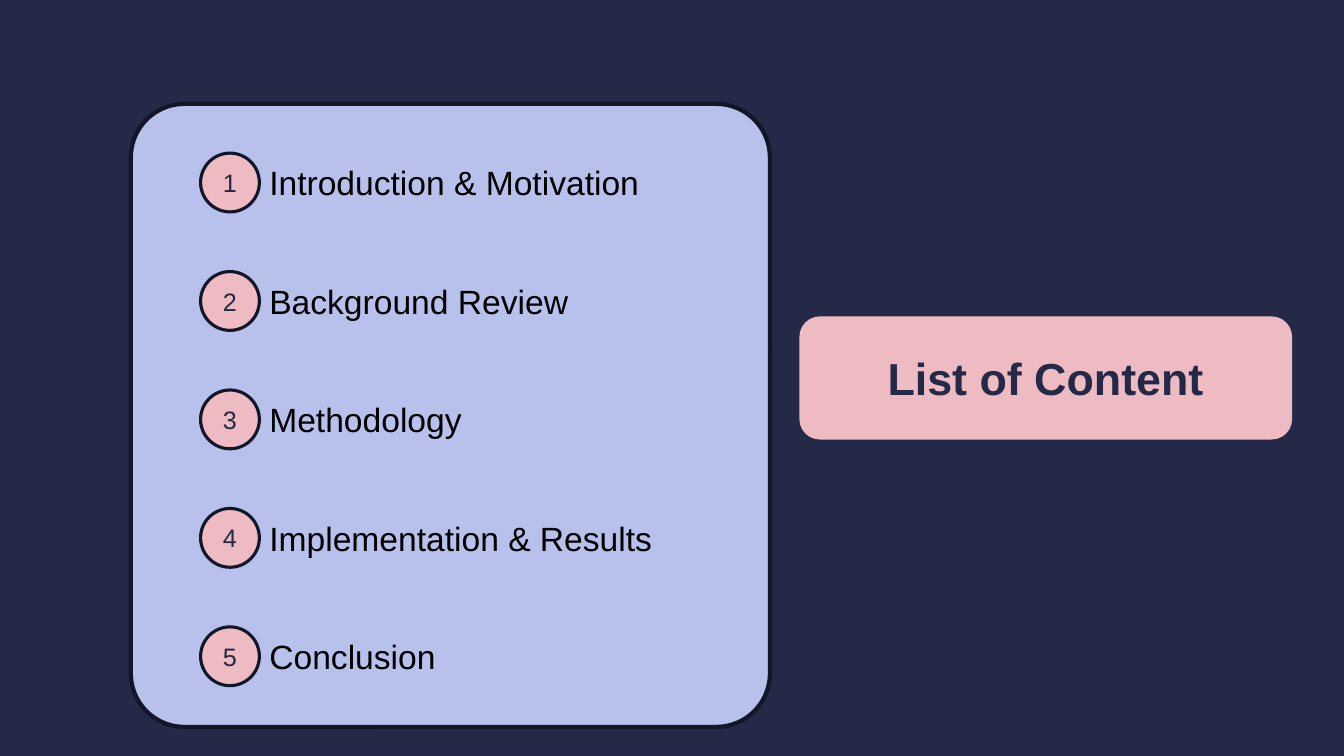
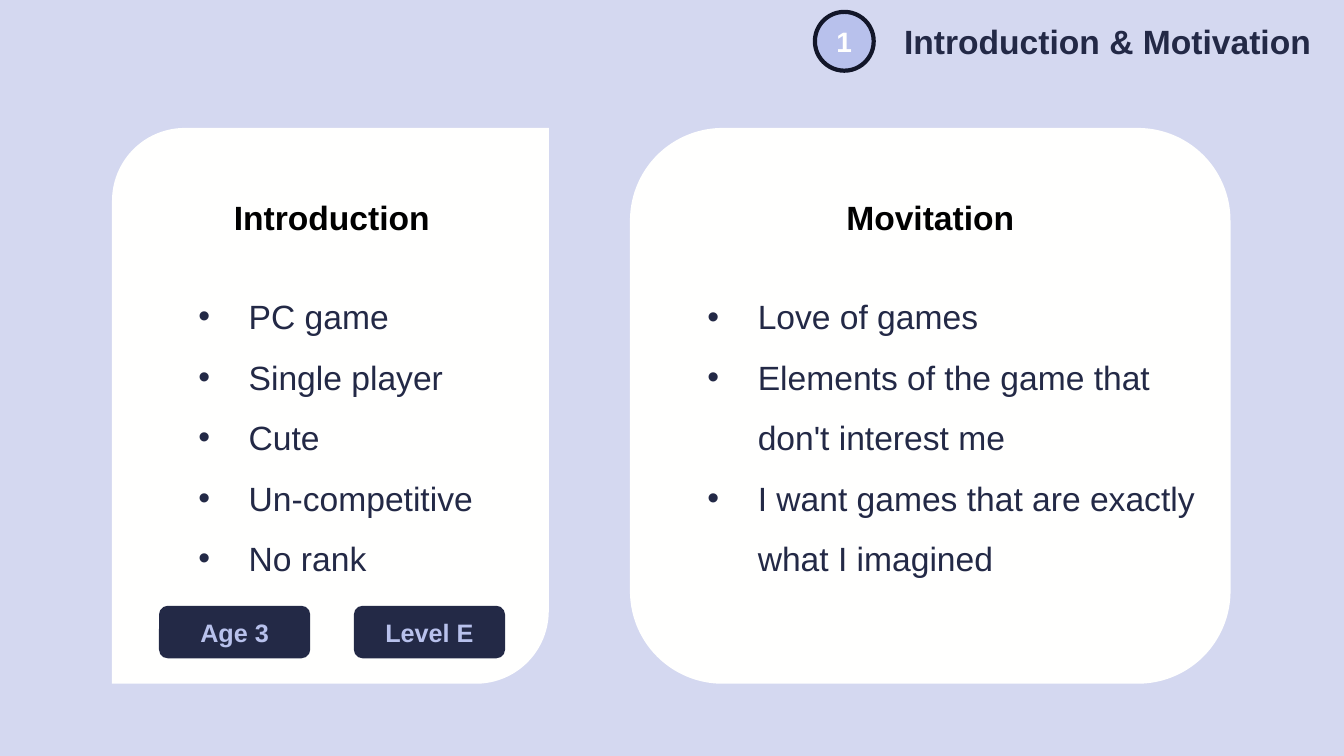
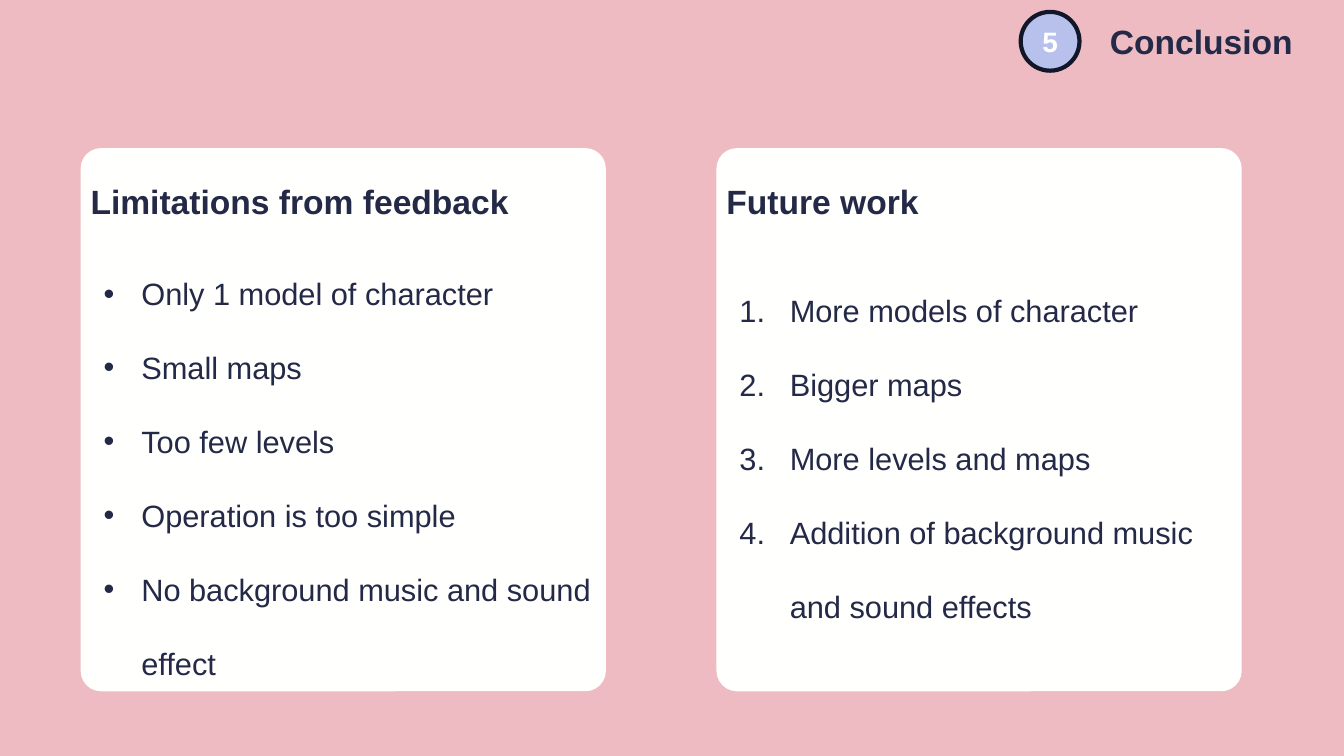
from dataclasses import dataclass
from typing import Any, Optional

from lxml import etree
from pptx import Presentation
from pptx import util as u
from pptx.dml import color
from pptx.enum import shapes, text
from pptx.oxml import ns

# Shared look
COLORS = {
    "navy": "232946",
    "ink": "121629",
    "lilac": "B8C1EC",
    "mist": "D4D8F0",
    "pink": "EEBBC3",
    "white": "FFFFFE",
    "black": "000000",
}
FONT = "Arial"
SLIDE_W, SLIDE_H = 960, 540
BADGE = 42
HEADER_H = 58.3
TITLE_ONLY = 5
LEFT, CENTER = text.PP_ALIGN.LEFT, text.PP_ALIGN.CENTER
TOP, MIDDLE = text.MSO_ANCHOR.TOP, text.MSO_ANCHOR.MIDDLE
ROUND = shapes.MSO_SHAPE.ROUNDED_RECTANGLE
DIAGONAL = shapes.MSO_SHAPE.ROUND_2_DIAG_RECTANGLE
OVAL = shapes.MSO_SHAPE.OVAL


@dataclass(frozen=True)
class Box:
    left: float
    top: float
    width: float
    height: float

    def pts(self) -> tuple[u.Length, ...]:
        return tuple(u.Pt(v) for v in (self.left, self.top, self.width, self.height))


@dataclass(frozen=True)
class Style:
    size: float
    color: str = "navy"
    bold: bool = False
    align: Any = LEFT
    anchor: Any = MIDDLE
    spacing: float = 1.0
    inset_top: float = 3.6
    indent: float = 0
    numbered: bool = False


@dataclass(frozen=True)
class Card:
    box: Box
    heading: str
    heading_box: Box
    items: list[str]
    list_box: Box
    list_style: Style
    kind: Any = ROUND
    corner: Optional[float] = None


TITLE = Style(24, bold=True)
COVER_TITLE = Style(32, bold=True, align=CENTER)
ENTRY = Style(24, "black")
ENTRY_BADGE = Style(18, align=CENTER)
HEADER_BADGE = Style(20, "white", True, CENTER)
CHIP = Style(18, "lilac", True, CENTER)
CENTERED_HEADING = Style(24, "black", True, CENTER, spacing=1.5)
LEFT_HEADING = Style(24, bold=True)
GAME_LIST = Style(24, anchor=TOP, spacing=1.5, indent=36)
LIMIT_LIST = Style(22, anchor=TOP, spacing=2.0, inset_top=0, indent=27)
FUTURE_LIST = Style(22, anchor=TOP, spacing=2.0, inset_top=0, indent=36, numbered=True)


# Drawing helpers
def rgb(name: str) -> color.RGBColor:
    return color.RGBColor.from_string(COLORS[name])


def set_all(target: Any, values: dict[str, Any]) -> None:
    for name, value in values.items():
        setattr(target, name, value)


def add_bullet(p: Any, style: Style) -> None:
    pPr = p._p.get_or_add_pPr()
    pPr.set("marL", str(u.Pt(style.indent)))
    pPr.set("indent", str(-u.Pt(style.indent)))
    etree.SubElement(pPr, ns.qn("a:buFont"), typeface=FONT)
    if style.numbered:
        etree.SubElement(pPr, ns.qn("a:buAutoNum"), type="arabicPeriod")
    else:
        etree.SubElement(pPr, ns.qn("a:buChar"), char="•")


def write(sp: Any, lines: list[str], style: Style) -> None:
    tf = sp.text_frame
    set_all(tf, {
        "word_wrap": True,
        "auto_size": text.MSO_AUTO_SIZE.NONE,
        "vertical_anchor": style.anchor,
        "margin_left": u.Pt(7.2),
        "margin_right": u.Pt(7.2),
        "margin_top": u.Pt(style.inset_top),
        "margin_bottom": u.Pt(3.6),
    })
    for i, line in enumerate(lines):
        p = tf.add_paragraph() if i else tf.paragraphs[0]
        set_all(p, {"alignment": style.align, "line_spacing": style.spacing})
        if style.indent:
            add_bullet(p, style)
        r = p.add_run()
        r.text = line
        set_all(r.font, {"name": FONT, "size": u.Pt(style.size), "bold": style.bold})
        r.font.color.rgb = rgb(style.color)


def add_text(s: Any, box: Box, lines: list[str], style: Style) -> None:
    write(s.shapes.add_textbox(*box.pts()), lines, style)


def add_shape(s: Any, kind: Any, box: Box, fill: str, line_width: float = 0,
              corner: Optional[float] = None) -> Any:
    sp = s.shapes.add_shape(kind, *box.pts())
    sp.shadow.inherit = False
    sp.fill.solid()
    sp.fill.fore_color.rgb = rgb(fill)
    if line_width:
        sp.line.color.rgb = rgb("ink")
        sp.line.width = u.Pt(line_width)
    else:
        sp.line.fill.background()
    if corner is not None:
        sp.adjustments[0] = corner
    return sp


def add_badge(s: Any, left: float, top: float, number: int, fill: str,
              line_width: float, style: Style) -> None:
    sp = add_shape(s, OVAL, Box(left, top, BADGE, BADGE), fill, line_width)
    write(sp, [str(number)], style)


def add_slide(prs: Any, background: str, title: str, box: Box, style: Style) -> Any:
    s = prs.slides.add_slide(prs.slide_layouts[TITLE_ONLY])
    s.background.fill.solid()
    s.background.fill.fore_color.rgb = rgb(background)
    sp = s.shapes.title
    set_all(sp, dict(zip(("left", "top", "width", "height"), box.pts())))
    write(sp, [title], style)
    return s


def add_section(prs: Any, background: str, number: int, title: str, left: float) -> Any:
    box = Box(left, 0, SLIDE_W - left, HEADER_H)
    s = add_slide(prs, background, title, box, TITLE)
    add_badge(s, left - 56.5, 8.5, number, "lilac", 3, HEADER_BADGE)
    return s


def add_card(s: Any, card: Card, heading_style: Style) -> None:
    add_shape(s, card.kind, card.box, "white", corner=card.corner)
    add_text(s, card.list_box, card.items, card.list_style)
    add_text(s, card.heading_box, [card.heading], heading_style)


# Slides
def contents_slide(prs: Any) -> None:
    pill_box = Box(571, 226, 352, 88)
    s = add_slide(prs, "navy", "List of Content", pill_box, COVER_TITLE)
    pill = add_shape(s, ROUND, pill_box, "pink")
    pill._element.addnext(s.shapes.title._element)  # title sits on the pill
    add_shape(s, ROUND, Box(93.5, 74.2, 456.5, 445), "lilac", 3, 0.086)
    entries = ["Introduction & Motivation", "Background Review", "Methodology",
               "Implementation & Results", "Conclusion"]
    left, first_top, pitch = 143.3, 109.4, 84.6
    for i, entry in enumerate(entries):
        top = first_top + i * pitch
        add_badge(s, left, top, i + 1, "pink", 2.25, ENTRY_BADGE)
        add_text(s, Box(left + BADGE, top, 308, BADGE), [entry], ENTRY)


def introduction_slide(prs: Any) -> None:
    s = add_section(prs, "mist", 1, "Introduction & Motivation", 638.6)
    top, height, heading_top, heading_h, list_top = 91.4, 397, 122.4, 51, 193.7
    cards = [
        Card(Box(80, top, 312, height), "Introduction",
             Box(80, heading_top, 314, heading_h),
             ["PC game", "Single player", "Cute", "Un-competitive", "No rank"],
             Box(134.6, list_top, 257, 186), GAME_LIST, DIAGONAL),
        Card(Box(450, top, 429, height), "Movitation",
             Box(450, heading_top, 429, heading_h),
             ["Love of games", "Elements of the game that don't interest me",
              "I want games that are exactly what I imagined"],
             Box(498.2, list_top, 381, 243), GAME_LIST),
    ]
    for card in cards:
        add_card(s, card, CENTERED_HEADING)
    for i, rating in enumerate(["Age 3", "Level E"]):
        chip = add_shape(s, ROUND, Box(113.6 + i * 139.2, 432.7, 108, 37.5), "navy",
                         corner=0.166)
        write(chip, [rating], CHIP)


def conclusion_slide(prs: Any) -> None:
    s = add_section(prs, "pink", 5, "Conclusion", 785.6)
    columns = [
        (57.6, "Limitations from feedback", 170, LIMIT_LIST,
         ["Only 1 model of character", "Small maps", "Too few levels",
          "Operation is too simple", "No background music and sound effect"]),
        (511.8, "Future work", 182.2, FUTURE_LIST,
         ["More models of character", "Bigger maps", "More levels and maps",
          "Addition of background music and sound effects"]),
    ]
    top, width, height, list_inset = 105.8, 375.2, 388, 9.3
    for left, heading, list_top, list_style, items in columns:
        list_box = Box(left + list_inset, list_top, width - list_inset,
                       top + height - list_top)
        card = Card(Box(left, top, width, height), heading, Box(left, top, width, 76.3),
                    items, list_box, list_style, corner=0.039)
        add_card(s, card, LEFT_HEADING)


def main() -> None:
    prs = Presentation()
    set_all(prs, {"slide_width": u.Pt(SLIDE_W), "slide_height": u.Pt(SLIDE_H)})
    contents_slide(prs)
    introduction_slide(prs)
    conclusion_slide(prs)
    prs.save("out.pptx")


if __name__ == "__main__":
    main()
